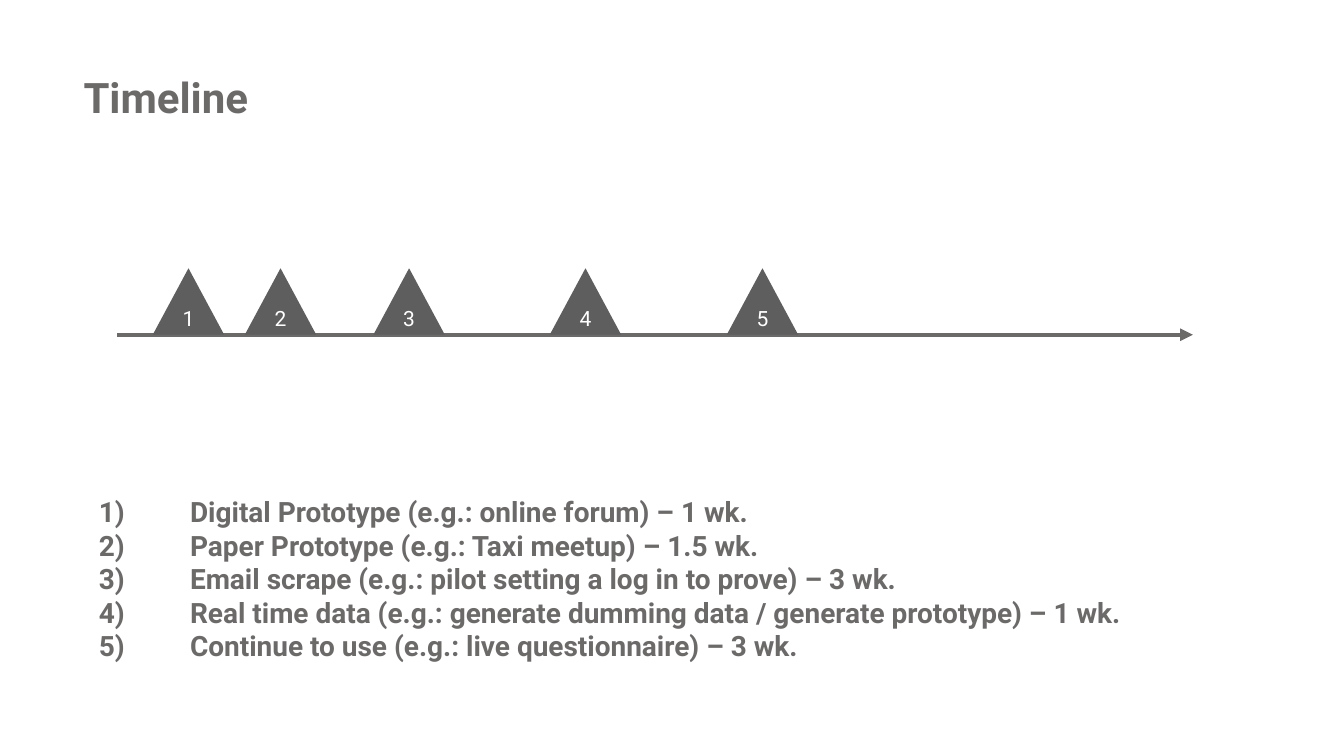
import pptx
import pptx.dml.color
import pptx.enum.shapes
import pptx.enum.text
import pptx.oxml.ns
import pptx.util
from lxml import etree

Cm = pptx.util.Cm
Pt = pptx.util.Pt
Align = pptx.enum.text.PP_ALIGN
Anchor = pptx.enum.text.MSO_ANCHOR

GRAY, DARK, WHITE = "6C6969", "5E5E5E", "FFFFFF"
AXIS = 16.87
MARK_W, MARK_H = 3.6, 3.35
MARKS = [7.7, 12.34, 18.82, 27.71, 36.63]
STEPS = [
    "Digital Prototype (e.g.: online forum) – 1 wk.",
    "Paper Prototype (e.g.: Taxi meetup) – 1.5 wk.",
    "Email scrape (e.g.: pilot setting a log in to prove) – 3 wk.",
    "Real time data (e.g.: generate dumming data / generate prototype) – 1 wk.",
    "Continue to use (e.g.: live questionnaire) – 3 wk.",
]


def color(code):
    return pptx.dml.color.RGBColor.from_string(code)


def assign(thing, values):
    for name, value in values.items():
        setattr(thing, name, value)


def add_xml(parent, tag, **attrs):
    return etree.SubElement(parent, pptx.oxml.ns.qn(tag), attrs)


def frame_up(frame, top=0.2):
    assign(frame, {
        "word_wrap": True, "vertical_anchor": Anchor.MIDDLE,
        "margin_left": Cm(0.2), "margin_right": Cm(0.2),
        "margin_top": Cm(top), "margin_bottom": Cm(0.2),
    })


def write(para, text, size, code, bold=False, align=Align.LEFT):
    para.alignment = align
    run = para.add_run()
    run.text = text
    assign(run.font, {"name": "Roboto", "size": Pt(size), "bold": bold})
    run.font.color.rgb = color(code)


def number(para, indent):
    """Turn a paragraph into an item of a numbered list."""
    props = para._p.get_or_add_pPr()
    props.set("marL", str(Cm(indent)))
    props.set("indent", str(-Cm(indent)))
    tint = add_xml(props, "a:buClr")
    add_xml(tint, "a:srgbClr", val=GRAY)
    add_xml(props, "a:buFont", typeface="Roboto")
    add_xml(props, "a:buAutoNum", type="arabicParenR")


def add_title(slide, text):
    box = slide.shapes.add_textbox(Cm(4.01), Cm(3.38), Cm(20.47), Cm(2.97))
    frame_up(box.text_frame)
    write(box.text_frame.paragraphs[0], text, 60, GRAY, bold=True)


def add_axis(slide):
    kind = pptx.enum.shapes.MSO_CONNECTOR.STRAIGHT
    axis = slide.shapes.add_connector(
        kind, Cm(5.92), Cm(AXIS), Cm(60.12), Cm(AXIS))
    axis.line.width = Pt(6)
    axis.line.color.rgb = color(GRAY)
    add_xml(axis.line._get_or_add_ln(), "a:tailEnd", type="triangle")
    add_xml(axis._element.spPr, "a:effectLst")


def add_mark(slide, left, label):
    kind = pptx.enum.shapes.MSO_SHAPE.ISOSCELES_TRIANGLE
    mark = slide.shapes.add_shape(
        kind, Cm(left), Cm(AXIS - MARK_H), Cm(MARK_W), Cm(MARK_H))
    mark.shadow.inherit = False
    mark.fill.solid()
    mark.fill.fore_color.rgb = color(DARK)
    mark.line.fill.background()
    frame_up(mark.text_frame)
    write(mark.text_frame.paragraphs[0], label, 30, WHITE, align=Align.CENTER)


def add_steps(slide, steps):
    box = slide.shapes.add_textbox(Cm(4.78), Cm(20.42), Cm(57.43), Cm(14.07))
    frame = box.text_frame
    frame_up(frame, top=3.6)
    for i, step in enumerate(steps):
        para = frame.add_paragraph() if i else frame.paragraphs[0]
        number(para, 4.6)
        write(para, step, 40, GRAY, bold=True)


def main():
    deck = pptx.Presentation()
    assign(deck, {"slide_width": Cm(67.74), "slide_height": Cm(38.1)})
    slide = deck.slides.add_slide(deck.slide_layouts[6])
    add_title(slide, "Timeline")
    add_axis(slide)
    add_steps(slide, STEPS)
    for i, left in enumerate(MARKS, 1):
        add_mark(slide, left, str(i))
    deck.save("out.pptx")


if __name__ == "__main__":
    main()
